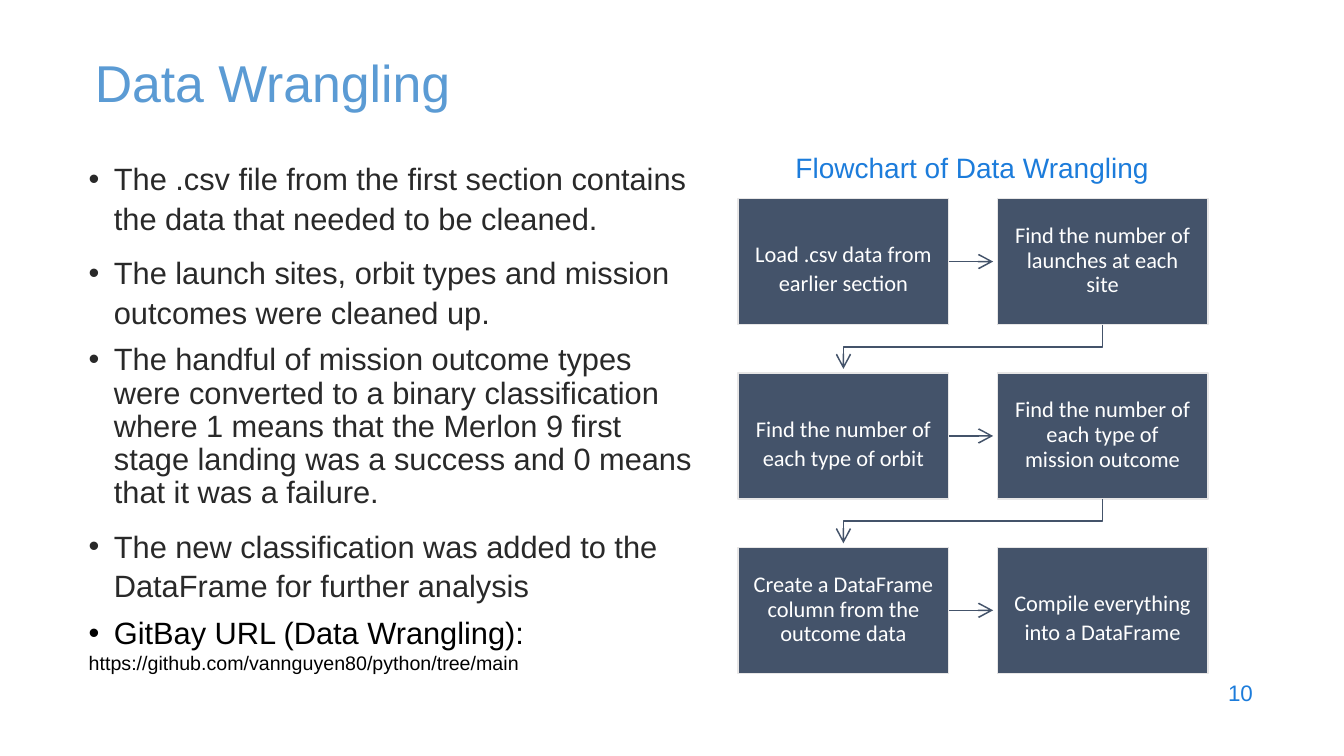
from dataclasses import dataclass

from lxml.etree import SubElement
from pptx import Presentation
from pptx.dml.color import RGBColor
from pptx.enum.shapes import MSO_CONNECTOR, MSO_SHAPE
from pptx.enum.text import MSO_ANCHOR, MSO_AUTO_SIZE, PP_ALIGN
from pptx.oxml.ns import qn
from pptx.util import Inches, Pt


@dataclass(frozen=True)
class Theme:
    heading: str = "5B9BD4"
    accent: str = "1C7CDB"
    body: str = "292929"
    black: str = "000000"
    white: str = "FFFFFF"
    step: str = "44536A"
    step_edge: str = "E7E6E6"
    title_size: int = 37
    body_size: int = 22
    caption_size: int = 20
    step_size: int = 16
    link_size: int = 14
    sans: str = "Arial"
    step_font: str = "Calibri"


theme = Theme()


def set_frame(shape, left=0, top=0, right=0):
    """Apply the shared text frame settings with the given insets in inches."""
    frame_format = {
        "word_wrap": True, "auto_size": MSO_AUTO_SIZE.NONE, "vertical_anchor": MSO_ANCHOR.TOP,
        "margin_left": Inches(left), "margin_top": Inches(top),
        "margin_right": Inches(right), "margin_bottom": 0,
    }
    for name, value in frame_format.items():
        setattr(shape.text_frame, name, value)
    return shape.text_frame


def write(paragraph, text, size, color, font=theme.sans, align=PP_ALIGN.LEFT, spacing=1.0, before=0):
    """Fill one paragraph with a single formatted run."""
    run = paragraph.add_run()
    run.text = text
    paragraph_format = {"alignment": align, "line_spacing": spacing, "space_before": Pt(before)}
    for name, value in paragraph_format.items():
        setattr(paragraph, name, value)
    for name, value in {"name": font, "size": Pt(size), "bold": False}.items():
        setattr(run.font, name, value)
    run.font.color.rgb = RGBColor.from_string(color)


presentation = Presentation()
presentation.slide_width = Inches(13.33)
presentation.slide_height = Inches(7.5)
slide = presentation.slides.add_slide(presentation.slide_layouts[1])
heading = slide.shapes.title
findings = slide.placeholders[1]

# Title and body positions
for placeholder, place in ((heading, (0.93, 0.49, 11.2, 0.65)), (findings, (0.87, 1.51, 6.07, 5.25))):
    for name, value in zip(("left", "top", "width", "height"), place):
        setattr(placeholder, name, Inches(value))

# Title
write(set_frame(heading, left=0.01, top=0.01).paragraphs[0], "Data Wrangling",
      theme.title_size, theme.heading)

# Findings: text, size, colour, line spacing, space before, bulleted
findings_frame = set_frame(findings, top=0.05)
findings_list = [
    ("The .csv file from the first section contains the data that needed to be cleaned.",
     theme.body_size, theme.body, 1.08, 0, True),
    ("The launch sites, orbit types and mission outcomes were cleaned up.",
     theme.body_size, theme.body, 1.08, 10, True),
    ("The handful of mission outcome types were converted to a binary classification where "
     "1 means that the Merlon 9 first stage landing was a success and 0 means that it was a failure.",
     theme.body_size, theme.body, 0.9, 9.6, True),
    ("The new classification was added to the DataFrame for further analysis",
     theme.body_size, theme.body, 1.05, 10.8, True),
    ("GitBay URL (Data Wrangling):", theme.body_size, theme.black, 1.0, 7.8, True),
    ("https://github.com/vannguyen80/python/tree/main", theme.link_size, theme.black, 1.0, 0, False),
]
for index, (finding, size, color, spacing, before, bulleted) in enumerate(findings_list):
    paragraph = findings_frame.add_paragraph() if index else findings_frame.paragraphs[0]
    properties = paragraph._p.get_or_add_pPr()
    properties.set("marL", str(Inches(0.26 if bulleted else 0.01)))
    properties.set("indent", str(Inches(-0.25 if bulleted else 0)))
    if bulleted:
        SubElement(SubElement(properties, qn("a:buClr")), qn("a:srgbClr"), val=color)
        SubElement(properties, qn("a:buFont"), typeface=theme.sans)
        SubElement(properties, qn("a:buChar"), char="•")
    else:
        SubElement(properties, qn("a:buNone"))
    write(paragraph, finding, size, color, spacing=spacing, before=before)

# Flowchart caption and page number
labels = [
    ("Flowchart of Data Wrangling", (7.88, 1.48, 3.6, 0.36), theme.caption_size, 1.0),
    ("10", (12.17, 6.68, 0.34, 0.28), theme.step_size, 1.17),
]
for label, place, size, spacing in labels:
    label_box = slide.shapes.add_textbox(*map(Inches, place))
    write(set_frame(label_box, left=0.01, top=0.01).paragraphs[0], label, size, theme.accent,
          spacing=spacing)

# Flowchart steps in reading order, with their number of text lines
chart_left, chart_top = 7.32, 1.97
step_width, step_height, gap = 2.09, 1.25, 0.48
columns = 2
steps = [
    ("Load .csv data from earlier section", 2),
    ("Find the number of launches at each site", 3),
    ("Find the number of each type of orbit", 2),
    ("Find the number of each type of mission outcome", 3),
    ("Create a DataFrame column from the outcome data", 3),
    ("Compile everything into a DataFrame", 2),
]
line_layout = {2: (0.39, 1.09), 3: (0.25, 0.92)}  # top inset, line spacing
corners = []
for index, (step, lines) in enumerate(steps):
    row, column = divmod(index, columns)
    left = chart_left + column * (step_width + gap)
    top = chart_top + row * (step_height + gap)
    corners.append((left, top))
    step_box = slide.shapes.add_shape(
        MSO_SHAPE.RECTANGLE, Inches(left), Inches(top), Inches(step_width), Inches(step_height))
    step_box.shadow.inherit = False
    step_box.fill.solid()
    step_box.fill.fore_color.rgb = RGBColor.from_string(theme.step)
    step_box.line.color.rgb = RGBColor.from_string(theme.step_edge)
    step_box.line.width = Pt(0.96)
    inset, spacing = line_layout[lines]
    write(set_frame(step_box, left=0.13, top=inset, right=0.13).paragraphs[0], step,
          theme.step_size, theme.white, theme.step_font, PP_ALIGN.CENTER, spacing)

# Arrows between consecutive steps
reach = gap - 0.04
for index, (left, top) in enumerate(corners[:-1]):
    same_row = index % columns == 0
    if same_row:
        kind = MSO_CONNECTOR.STRAIGHT
        start = (left + step_width, top + step_height / 2)
        end = (start[0] + reach, start[1])
    else:
        # An elbow turned by 90 degrees leaves downwards and runs back to the left
        kind = MSO_CONNECTOR.ELBOW
        run_back = step_width + gap
        center_x = left + step_width / 2 - run_back / 2
        center_y = top + step_height + reach / 2
        start = (center_x - reach / 2, center_y - run_back / 2)
        end = (center_x + reach / 2, center_y + run_back / 2)
    arrow = slide.shapes.add_connector(kind, *map(Inches, start + end))
    if not same_row:
        arrow._element.spPr.find(qn("a:xfrm")).set("rot", str(90 * 60000))
    arrow.line.color.rgb = RGBColor.from_string(theme.step)
    arrow.line.width = Pt(1.1)
    SubElement(arrow.line._get_or_add_ln(), qn("a:tailEnd"), type="arrow", w="lg", len="lg")
    SubElement(arrow._element.spPr, qn("a:effectLst"))

presentation.save("out.pptx")
